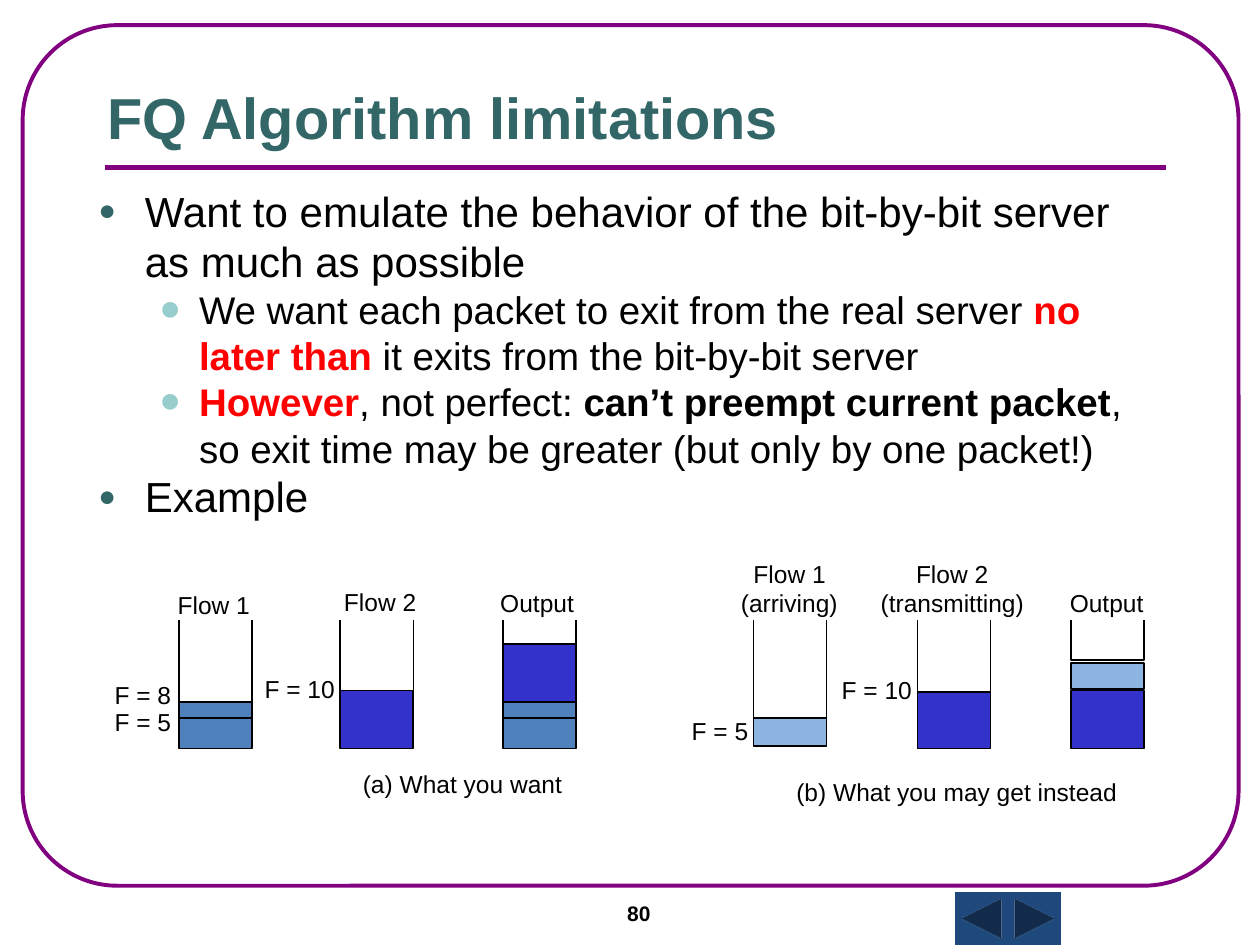
from dataclasses import dataclass

from lxml import etree
from pptx import Presentation
from pptx.dml.color import RGBColor
from pptx.enum.shapes import MSO_CONNECTOR, MSO_SHAPE
from pptx.enum.text import MSO_ANCHOR, MSO_AUTO_SIZE, PP_ALIGN
from pptx.oxml.ns import qn
from pptx.util import Inches, Pt

RECTANGLE = MSO_SHAPE.RECTANGLE
ROUNDED = MSO_SHAPE.ROUNDED_RECTANGLE
BACK = MSO_SHAPE.ACTION_BUTTON_BACK_OR_PREVIOUS
FORWARD = MSO_SHAPE.ACTION_BUTTON_FORWARD_OR_NEXT
STRAIGHT = MSO_CONNECTOR.STRAIGHT
LEFT = PP_ALIGN.LEFT
TOP, BOTTOM = MSO_ANCHOR.TOP, MSO_ANCHOR.BOTTOM
NO_AUTOFIT = MSO_AUTO_SIZE.NONE


@dataclass(frozen=True)
class Theme:
    font: str = "Arial"
    black: str = "000000"
    frame: str = "800080"
    title: str = "336666"
    sub_bullet: str = "97CDCC"
    alert: str = "FF0000"
    button: str = "1F497D"
    flow_1: str = "4F81BD"
    flow_1_late: str = "8EB4E3"
    flow_2: str = "3333CC"
    title_size: float = 33
    point_size: float = 24
    sub_point_size: float = 22
    label_size: float = 14
    number_size: float = 12
    outline: float = 0.88


theme = Theme()


def add_run(paragraph, text, size, color=theme.black, bold=False):
    run = paragraph.add_run()
    run.text = text
    run.font.name = theme.font
    run.font.size = Pt(size)
    run.font.bold = bold
    run.font.color.rgb = RGBColor.from_string(color)


def style(shape, fill=None, line=None, width=theme.outline):
    shape.shadow.inherit = False
    if fill:
        shape.fill.solid()
        shape.fill.fore_color.rgb = RGBColor.from_string(fill)
    else:
        shape.fill.background()
    if line:
        shape.line.color.rgb = RGBColor.from_string(line)
        shape.line.width = Pt(width)
    else:
        shape.line.fill.background()


prs = Presentation()
prs.slide_width, prs.slide_height = Inches(10), Inches(7.5)
slide = prs.slides.add_slide(prs.slide_layouts[1])
shapes = slide.shapes

# Frame, title rule and navigation buttons
frame = shapes.add_shape(ROUNDED, Inches(0.18), Inches(0.2), Inches(9.65), Inches(6.83))
frame.adjustments[0] = 0.11
style(frame, line=theme.frame, width=2.25)

rule = shapes.add_connector(STRAIGHT, Inches(0.83), Inches(1.33), Inches(9.25), Inches(1.33))
rule.line.color.rgb = RGBColor.from_string(theme.frame)
rule.line.width = Pt(3)
etree.SubElement(rule._element.spPr, qn("a:effectLst"))

for direction, left in ((BACK, 7.58), (FORWARD, 8)):
    button = shapes.add_shape(direction, Inches(left), Inches(7.08), Inches(0.42), Inches(0.42))
    style(button, fill=theme.button)

# Page number
number = shapes.add_textbox(Inches(4.88), Inches(7.1), Inches(1.17), Inches(0.33))
number.text_frame.word_wrap = True
add_run(number.text_frame.paragraphs[0], "80", theme.number_size, bold=True)

# Title
title = shapes.title
title.left, title.top, title.width, title.height = Inches(0.75), Inches(0), Inches(8.5), Inches(1.25)
title.text_frame.vertical_anchor = BOTTOM
title.text_frame.auto_size = NO_AUTOFIT
title.text_frame.paragraphs[0].alignment = LEFT
add_run(title.text_frame.paragraphs[0], "FQ Algorithm limitations",
        theme.title_size, theme.title, bold=True)

# Bulleted points: level, then runs of text, colour and weight
points = [
    (0, [("Want to emulate the behavior of the bit-by-bit server as much as possible",
          theme.black, False)]),
    (1, [("We want each packet to exit from the real server ", theme.black, False),
         ("no later than", theme.alert, True),
         (" it exits from the bit-by-bit server", theme.black, False)]),
    (1, [("However", theme.alert, True),
         (", not perfect: ", theme.black, False),
         ("can’t preempt current packet", theme.black, True),
         (", so exit time may be greater (but only by one packet!)", theme.black, False)]),
    (0, [("Example", theme.black, False)]),
]
# Per level: text size, margin, hanging indent, bullet, bullet colour, bullet percent
levels = [
    (theme.point_size, 0.38, -0.37, "●", theme.title, 70),
    (theme.sub_point_size, 0.81, -0.31, "•", theme.sub_bullet, 150),
]
body = slide.placeholders[1]
body.left, body.top, body.width, body.height = Inches(0.67), Inches(1.42), Inches(8.5), Inches(5)
body.text_frame.vertical_anchor = TOP
body.text_frame.auto_size = NO_AUTOFIT
for index, (level, runs) in enumerate(points):
    point = body.text_frame.paragraphs[0] if index == 0 else body.text_frame.add_paragraph()
    size, margin, indent, bullet, bullet_color, percent = levels[level]
    props = point._p.get_or_add_pPr()
    props.set("marL", str(Inches(margin)))
    props.set("indent", str(Inches(indent)))
    bullet_fill = etree.SubElement(props, qn("a:buClr"))
    etree.SubElement(bullet_fill, qn("a:srgbClr"), val=bullet_color)
    etree.SubElement(props, qn("a:buSzPct"), val=str(percent * 1000))
    etree.SubElement(props, qn("a:buFont"), typeface=theme.font)
    etree.SubElement(props, qn("a:buChar"), char=bullet)
    point.level = level
    point.space_before = Pt(0)
    for text, color, bold in runs:
        add_run(point, text, size, color, bold)

# Queues: left edge, bottom of the empty part, packets as (top, bottom, colour)
queue_top, queue_width = 4.92, 0.58
flow_1_packets = [(5.57, 5.7, theme.flow_1), (5.7, 5.94, theme.flow_1)]
queues = [
    (1.42, 5.57, flow_1_packets),
    (2.7, 5.48, [(5.48, 5.94, theme.flow_2)]),
    (3.99, 5.11, [(5.11, 5.57, theme.flow_2)] + flow_1_packets),
    (5.98, 5.7, [(5.7, 5.92, theme.flow_1_late)]),
    (7.28, 5.49, [(5.49, 5.94, theme.flow_2)]),
    (8.5, 5.24, [(5.26, 5.47, theme.flow_1_late), (5.48, 5.94, theme.flow_2)]),
]
for left, empty_bottom, packets in queues:
    for top, bottom, color in packets:
        packet = shapes.add_shape(RECTANGLE, Inches(left), Inches(top),
                                  Inches(queue_width), Inches(bottom - top))
        style(packet, fill=color, line=theme.black)
    right = left + queue_width
    walls = shapes.build_freeform(Inches(left), Inches(queue_top))
    walls.add_line_segments([(Inches(left), Inches(empty_bottom)),
                             (Inches(right), Inches(empty_bottom)),
                             (Inches(right), Inches(queue_top))], close=False)
    style(walls.convert_to_shape(), line=theme.black)

# Queue names, finish numbers and captions: text, left, top, width
labels = [
    ("Flow 1", 1.41, 4.68, 0.65),
    ("Flow 2", 2.73, 4.66, 0.65),
    ("Output", 3.97, 4.67, 0.65),
    ("Flow 1", 5.98, 4.44, 0.65),
    ("(arriving)", 5.88, 4.67, 0.85),
    ("Flow 2", 7.27, 4.44, 0.65),
    ("(transmitting)", 6.99, 4.67, 1.2),
    ("Output", 8.49, 4.67, 0.65),
    ("F = 8", 0.91, 5.4, 0.5),
    ("F = 5", 0.91, 5.61, 0.5),
    ("F = 10", 2.1, 5.35, 0.6),
    ("F = 5", 5.49, 5.68, 0.5),
    ("F = 10", 6.68, 5.36, 0.6),
    ("(a) What you want", 2.88, 6.1, 1.7),
    ("(b) What you may get instead", 6.32, 6.17, 2.65),
]
for text, left, top, width in labels:
    label = shapes.add_textbox(Inches(left), Inches(top), Inches(width), Inches(0.23)).text_frame
    label.margin_left = label.margin_right = label.margin_top = label.margin_bottom = 0
    label.word_wrap = True
    label.paragraphs[0].alignment = LEFT
    add_run(label.paragraphs[0], text, theme.label_size)

prs.save("out.pptx")
